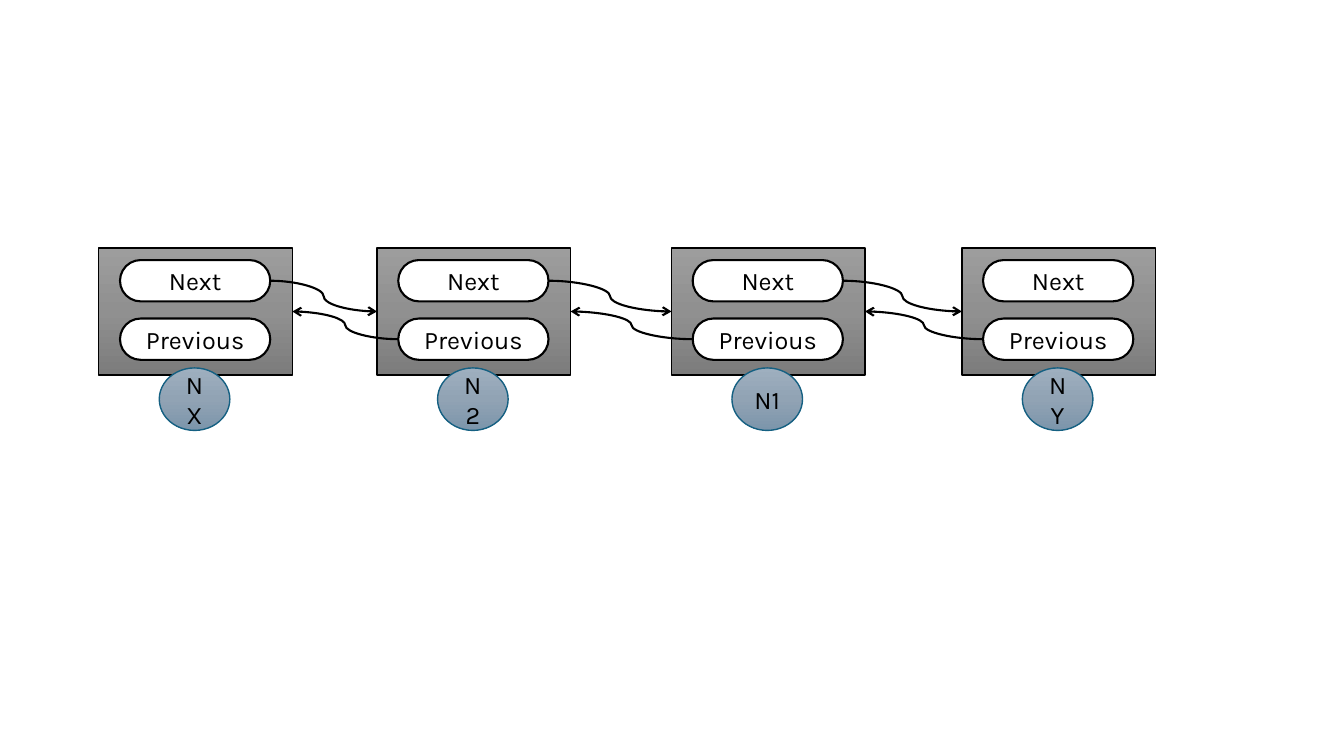
from copy import deepcopy
from dataclasses import dataclass

from lxml import etree
from pptx import Presentation
from pptx import util as u
from pptx.dml import color
from pptx.enum import shapes, text
from pptx.oxml import ns

BLACK = "000000"
RIGHT, LEFT = 3, 1
PREVIOUS_TOP, NEXT_TOP = 3.16, 2.58
BOX_GRADIENT = ("9D9D9D", "909090", "7C7C7C")
BADGE_GRADIENT = ("9EAFBF", "91A3B4", "7C95AB")


@dataclass
class Node:
    name: str
    left: float


@dataclass
class NodeShapes:
    box: object
    next_pill: object
    previous_pill: object


NODES = [Node("NX", 0.98), Node("N2", 3.74), Node("N1", 6.66), Node("NY", 9.54)]


def rgb(value: str) -> color.RGBColor:
    return color.RGBColor.from_string(value)


def fill_gradient(shape, stops: tuple) -> None:
    shape.fill.gradient()
    shape.fill.gradient_angle = 270
    stop_list = shape._element.spPr.find(".//" + ns.qn("a:gsLst"))
    stop_list.append(deepcopy(stop_list[-1]))
    for index, (stop, value) in enumerate(zip(shape.fill.gradient_stops, stops)):
        stop.position = index / (len(stops) - 1)
        stop.color.rgb = rgb(value)


def add_part(group, kind, left: float, top: float, width: float, height: float,
             line: str, weight: float, label: str = ""):
    shape = group.shapes.add_shape(
        kind, u.Inches(left), u.Inches(top), u.Inches(width), u.Inches(height))
    shape.shadow.inherit = False
    shape.line.color.rgb = rgb(line)
    shape.line.width = u.Pt(weight)
    if label:
        shape.text_frame.text = label
        shape.text_frame.vertical_anchor = text.MSO_ANCHOR.MIDDLE
        paragraph = shape.text_frame.paragraphs[0]
        paragraph.alignment = text.PP_ALIGN.CENTER
        font = paragraph.runs[0].font
        font.name, font.size = "Karla", u.Pt(18)
        font.color.rgb = rgb(BLACK)
    return shape


def add_pill(group, left: float, top: float, label: str):
    pill = add_part(group, shapes.MSO_SHAPE.ROUNDED_RECTANGLE,
                    left, top, 1.49, 0.41, BLACK, 1.5, label)
    pill.adjustments[0] = 0.5
    pill.fill.solid()
    pill.fill.fore_color.rgb = rgb("FFFFFF")
    return pill


def add_node(slide, node: Node) -> NodeShapes:
    group = slide.shapes.add_group_shape()
    box = add_part(group, shapes.MSO_SHAPE.RECTANGLE,
                   node.left, 2.46, 1.92, 1.26, BLACK, 1)
    fill_gradient(box, BOX_GRADIENT)
    next_pill = add_pill(group, node.left + 0.21, NEXT_TOP, "Next")
    previous_pill = add_pill(group, node.left + 0.21, PREVIOUS_TOP, "Previous")
    badge = add_part(group, shapes.MSO_SHAPE.OVAL,
                     node.left + 0.6, 3.65, 0.7, 0.62, "156082", 1, node.name)
    fill_gradient(badge, BADGE_GRADIENT)
    return NodeShapes(box, next_pill, previous_pill)


def side_middle(shape, side: int) -> tuple[int, int]:
    x = shape.left + (shape.width if side == RIGHT else 0)
    return x, shape.top + shape.height // 2


def add_pointer(slide, pill, pill_side: int, box, box_side: int) -> None:
    connector = slide.shapes.add_connector(
        shapes.MSO_CONNECTOR.CURVE,
        *side_middle(pill, pill_side), *side_middle(box, box_side))
    connector.begin_connect(pill, pill_side)
    connector.end_connect(box, box_side)
    connector.line.color.rgb = rgb(BLACK)
    connector.line.width = u.Pt(1.5)
    etree.SubElement(connector.line._get_or_add_ln(), ns.qn("a:tailEnd"), type="arrow")
    etree.SubElement(connector._element.spPr, ns.qn("a:effectLst"))


def main() -> None:
    presentation = Presentation()
    presentation.slide_width = u.Inches(13.33)
    presentation.slide_height = u.Inches(7.5)
    slide = presentation.slides.add_slide(presentation.slide_layouts[6])
    chain = [add_node(slide, node) for node in NODES]
    for current, following in zip(chain, chain[1:]):
        add_pointer(slide, current.next_pill, RIGHT, following.box, LEFT)
        add_pointer(slide, following.previous_pill, LEFT, current.box, RIGHT)
    presentation.save("out.pptx")


if __name__ == "__main__":
    main()
